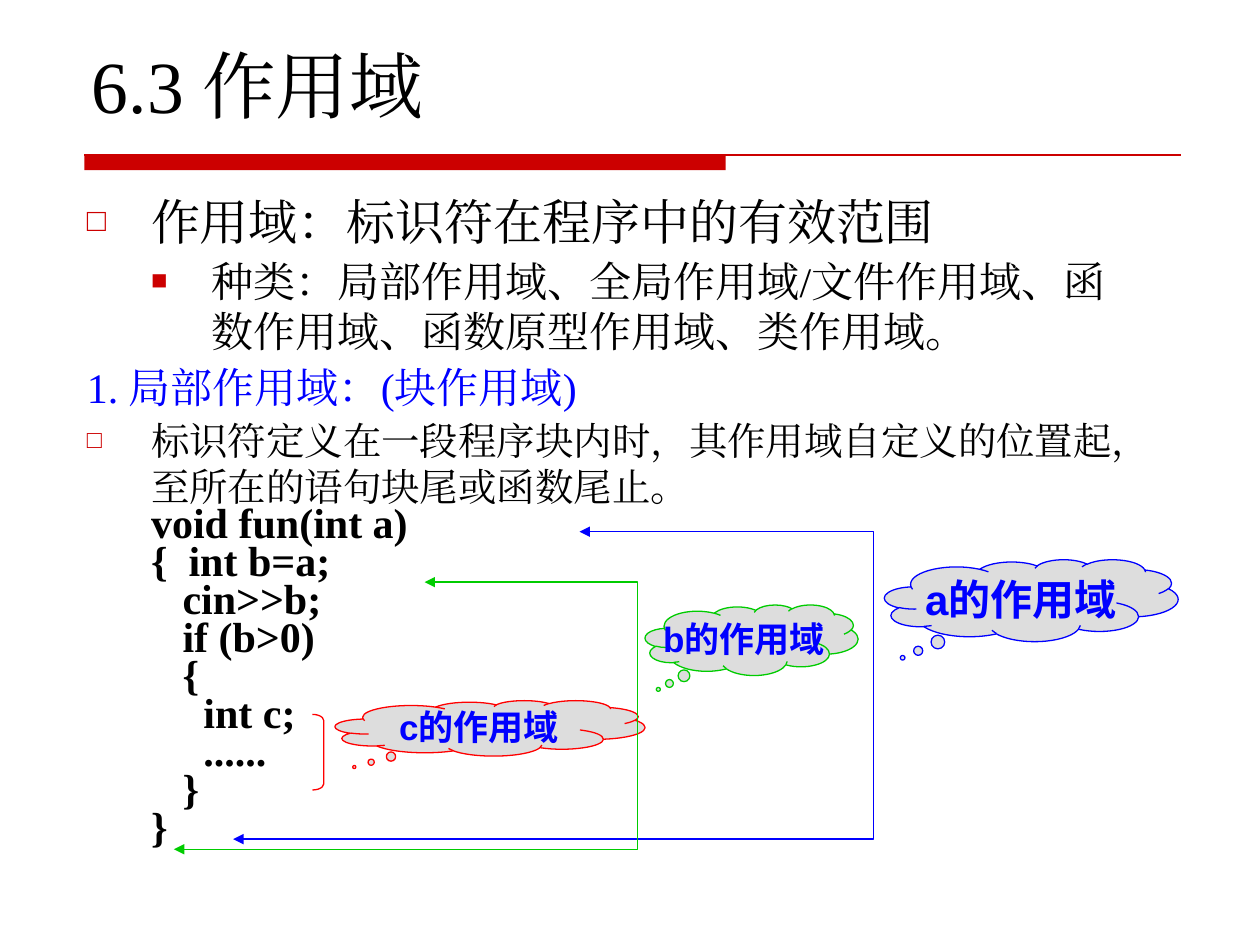
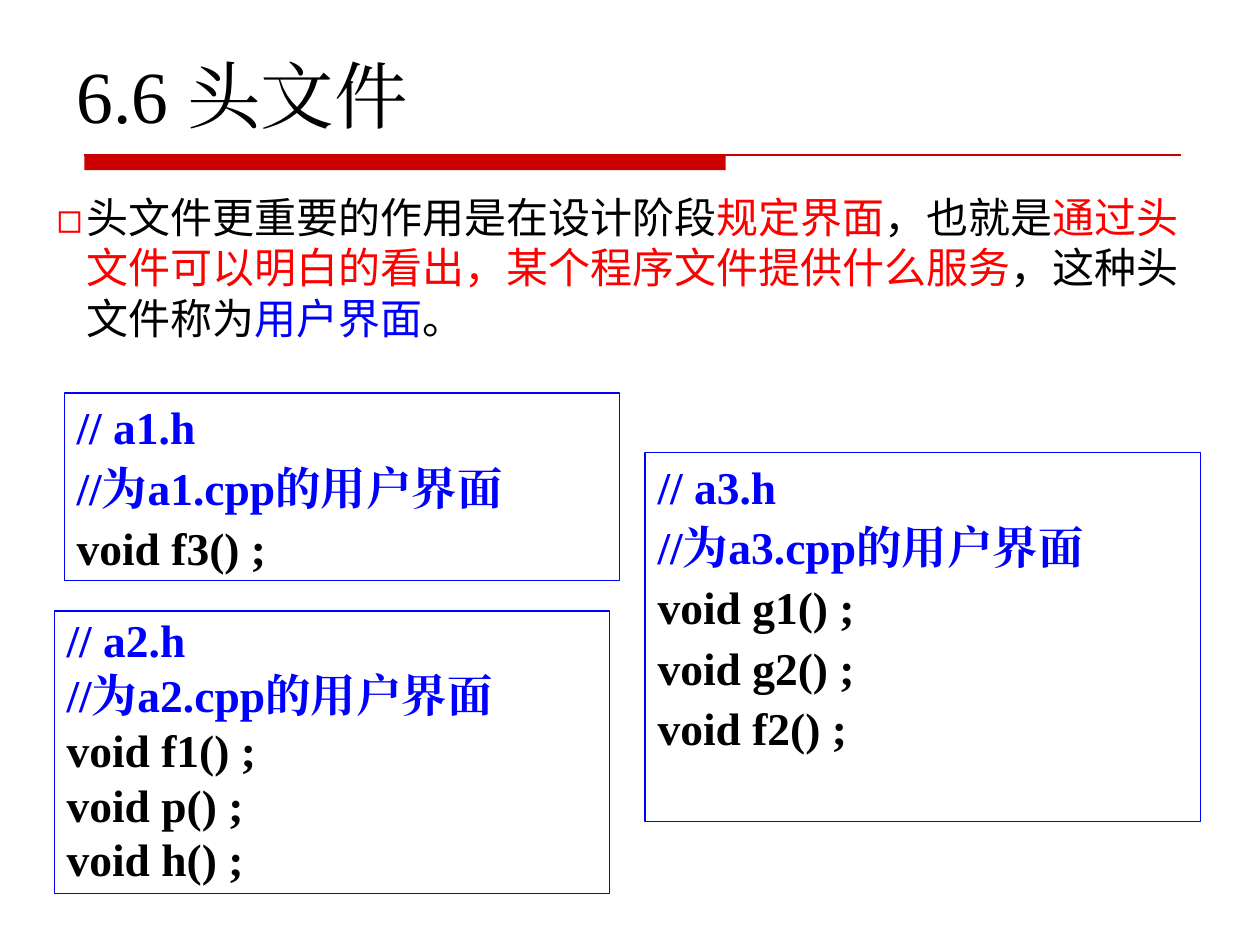
from lxml import etree
from pptx import Presentation
from pptx.dml.color import RGBColor
from pptx.enum.shapes import MSO_CONNECTOR, MSO_SHAPE
from pptx.enum.text import MSO_ANCHOR, MSO_AUTO_SIZE, PP_ALIGN
from pptx.oxml.ns import qn
from pptx.util import Inches, Pt

# Shared look
RED, BRIGHT_RED, BLUE, GREEN = "CC0000", "FF0000", "0000FF", "00CC00"
BLACK, GREY = "000000", "DDDDDD"
SERIF, SANS, CJK = "Times New Roman", "Arial", "Noto Sans CJK SC"
LINE_HEIGHT = 1.2  # line pitch as a share of the font size
LINE_WIDTH = 0.75

# Slide 1: paragraphs are (text, format)
SCOPE_TITLE = "6.3 作用域"
HOLLOW = dict(char="□", color=RED, percent=65, font=SERIF)
SOLID = dict(HOLLOW, char="■")
SCOPE_TEXT = [
    ("作用域：标识符在程序中的有效范围", dict(size=28, bullet=HOLLOW)),
    ("种类：局部作用域、全局作用域/文件作用域、函数作用域、函数原型作用域、类作用域。",
     dict(size=24, before=3, left=0.99, hang=0.48, bullet=SOLID)),
    ("1. 局部作用域：(块作用域)", dict(size=24, before=3, color=BLUE)),
    ("标识符定义在一段程序块内时，其作用域自定义的位置起，至所在的语句块尾或函数尾止。",
     dict(size=22, before=2.8, bullet=HOLLOW)),
]
SCOPE_CODE = [
    "void fun(int a)",
    "{  int b=a;",
    "   cin>>b;",
    "   if (b>0)",
    "   {",
    "     int c;",
    "     ......",
    "   }",
    "}",
]
CODE_FORMAT = dict(size=24, bold=True, before=3, spacing=0.65, left=0.99, hang=0.48)

# Variable scopes: cloud box, and either an arrow or a bracket
# arrow = (start x, top, right, bottom, end x)
SCOPES = [
    dict(name="a", color=BLUE, size=24, cloud=(7.02, 4.44, 2.33, 0.65),
         arrow=(4.6, 4.22, 6.93, 6.66, 1.85)),
    dict(name="c", color=BRIGHT_RED, size=20, cloud=(2.66, 5.56, 2.46, 0.44),
         bracket=(2.48, 5.67, 0.09, 0.6)),
    dict(name="b", color=GREEN, size=20, cloud=(5.12, 4.8, 1.69, 0.56),
         arrow=(3.37, 4.62, 5.06, 6.74, 1.38)),
]

# Slide 2
HEADER_TITLE = "6.6 头文件"
HEADER_TEXT = [
    ("头文件更重要的作用是在设计阶段", BLACK),
    ("规定界面", BRIGHT_RED),
    ("，也就是", BLACK),
    ("通过头文件可以明白的看出，某个程序文件提供什么服务", BRIGHT_RED),
    ("，这种头文件称为", BLACK),
    ("用户界面", BLUE),
    ("。", BLACK),
]
HEADER_FORMAT = dict(size=24, font=CJK, left=0.24, hang=0.24,
                     bullet=dict(char="◻", color=BRIGHT_RED, percent=100, font=CJK))
FILE_WIDTH = 4.41
# (file, left, top, height, line spacing, functions)
HEADER_FILES = [
    ("a2", 0.43, 4.85, 2.24, 0.9, ["f1", "p", "h"]),
    ("a1", 0.51, 3.12, 1.49, 1, ["f3"]),
    ("a3", 5.12, 3.59, 2.93, 1, ["g1", "g2", "f2"]),
]


def rgb(color):
    return RGBColor.from_string(color)


def inches(values):
    return [Inches(value) for value in values]


def add_bullet(paragraph, bullet):
    properties = paragraph._p.get_or_add_pPr()

    def add(parent, tag, **attributes):
        return etree.SubElement(parent, qn(tag), attributes)

    if not bullet:
        add(properties, "a:buNone")
        return
    add(add(properties, "a:buClr"), "a:srgbClr", val=bullet["color"])
    add(properties, "a:buSzPct", val=str(bullet["percent"] * 1000))
    add(properties, "a:buFont", typeface=bullet["font"])
    add(properties, "a:buChar", char=bullet["char"])


def fill_paragraph(paragraph, text, size, font=SERIF, color=BLACK, bold=False, before=0,
                   spacing=1, left=0.51, hang=0.51, bullet=None, align=PP_ALIGN.LEFT):
    """Write text, a string or a list of (text, color), into a paragraph."""
    settings = dict(alignment=align, space_before=Pt(before),
                    line_spacing=Pt(round(size * LINE_HEIGHT * spacing, 2)))
    for name, value in settings.items():
        setattr(paragraph, name, value)
    properties = paragraph._p.get_or_add_pPr()
    properties.set("marL", str(Inches(left)))
    properties.set("indent", str(-Inches(hang)))
    add_bullet(paragraph, bullet)
    pieces = [(text, color)] if isinstance(text, str) else text
    for piece, piece_color in pieces:
        run = paragraph.add_run()
        run.text = piece
        for name, value in dict(size=Pt(size), name=font, bold=bold).items():
            setattr(run.font, name, value)
        run.font.color.rgb = rgb(piece_color)
        east_asian = etree.SubElement(run._r.get_or_add_rPr(), qn("a:ea"))
        east_asian.set("typeface", font)


def fill_text(shape, paragraphs, anchor=MSO_ANCHOR.TOP, wrap=True):
    frame = shape.text_frame
    settings = dict(word_wrap=wrap, auto_size=MSO_AUTO_SIZE.NONE, vertical_anchor=anchor,
                    margin_left=Inches(0.1), margin_right=Inches(0.1),
                    margin_top=Inches(0.05), margin_bottom=Inches(0.05))
    for name, value in settings.items():
        setattr(frame, name, value)
    for index, (text, text_format) in enumerate(paragraphs):
        paragraph = frame.add_paragraph() if index else frame.paragraphs[0]
        fill_paragraph(paragraph, text, **text_format)


def style(shape, fill=None, line=None):
    shape.shadow.inherit = False
    if fill:
        shape.fill.solid()
        shape.fill.fore_color.rgb = rgb(fill)
    else:
        shape.fill.background()
    if line:
        shape.line.color.rgb = rgb(line)
        shape.line.width = Pt(LINE_WIDTH)
    else:
        shape.line.fill.background()


def add_preset(slide, kind, box, **colors):
    shape = slide.shapes.add_shape(kind, *inches(box))
    style(shape, **colors)
    return shape


def add_title_slide(presentation, layout, title, box, anchor, spacing=1):
    slide = presentation.slides.add_slide(layout)
    shape = slide.shapes.title
    shape.left, shape.top, shape.width, shape.height = inches(box)
    fill_text(shape, [(title, dict(size=42, left=0, hang=0, spacing=spacing))], anchor)
    return slide


def move_rule_to_layout(slide, layout):
    """Draw the title rule, a thick band on a thin line, and share it by the layout."""
    band = add_preset(slide, MSO_SHAPE.RECTANGLE, (0.67, 1.23, 5.09, 0.12), fill=RED)
    rule = slide.shapes.add_connector(MSO_CONNECTOR.STRAIGHT, *inches((0.67, 1.23, 9.37, 1.23)))
    rule.line.color.rgb = rgb(RED)
    rule.line.width = Pt(LINE_WIDTH)
    etree.SubElement(rule._element.spPr, qn("a:effectLst"))
    for shape in (band, rule):
        layout.shapes._spTree.append(shape._element)


def add_scope_arrow(slide, color, start, top, right, bottom, end):
    builder = slide.shapes.build_freeform(Inches(start), Inches(top))
    corners = [(right, top), (right, bottom), (end, bottom)]
    builder.add_line_segments([inches(corner) for corner in corners], close=False)
    shape = builder.convert_to_shape()
    style(shape, line=color)
    for tag in ("a:headEnd", "a:tailEnd"):
        etree.SubElement(shape.line._get_or_add_ln(), qn(tag), type="triangle")


def add_scope(slide, scope):
    color = scope["color"]
    if "arrow" in scope:
        add_scope_arrow(slide, color, *scope["arrow"])
    cloud = add_preset(slide, MSO_SHAPE.CLOUD_CALLOUT, scope["cloud"], fill=GREY, line=color)
    cloud.adjustments[0], cloud.adjustments[1] = -0.438, 0.7
    label_format = dict(size=scope["size"], font=SANS, color=BLUE, bold=True,
                        left=0, hang=0, align=PP_ALIGN.CENTER)
    fill_text(cloud, [(scope["name"] + "的作用域", label_format)], MSO_ANCHOR.MIDDLE, wrap=False)
    if "bracket" in scope:
        bracket = add_preset(slide, MSO_SHAPE.RIGHT_BRACKET, scope["bracket"], line=color)
        bracket.adjustments[0] = 0.55


def add_header_file(slide, name, left, top, height, spacing, functions):
    lines = [(f"// {name}.h", BLUE), (f"//为{name}.cpp的用户界面", BLUE)]
    lines += [(f"void {function}() ;", BLACK) for function in functions]
    paragraphs = [
        (text, dict(size=26, bold=True, color=color, spacing=spacing, before=3.3 if index else 0))
        for index, (text, color) in enumerate(lines)
    ]
    box = add_preset(slide, MSO_SHAPE.RECTANGLE, (left, top, FILE_WIDTH, height), line=BLUE)
    fill_text(box, paragraphs)


def main():
    presentation = Presentation()
    presentation.slide_width, presentation.slide_height = inches((10, 7.5))
    layout = presentation.slide_layouts[5]

    # Scope slide
    slide = add_title_slide(presentation, layout, SCOPE_TITLE, (0.63, 0.33, 8.75, 0.74),
                            MSO_ANCHOR.BOTTOM)
    move_rule_to_layout(slide, layout)
    body = slide.shapes.add_textbox(*inches((0.59, 1.47, 8.58, 5.45)))
    fill_text(body, SCOPE_TEXT + [(line, CODE_FORMAT) for line in SCOPE_CODE])
    for scope in SCOPES:
        add_scope(slide, scope)

    # Header file slide
    slide = add_title_slide(presentation, layout, HEADER_TITLE, (0.51, 0.21, 8.58, 0.94),
                            MSO_ANCHOR.TOP, spacing=1.2)
    body = slide.shapes.add_textbox(*inches((0.35, 1.47, 9.29, 1.3)))
    fill_text(body, [(HEADER_TEXT, HEADER_FORMAT)])
    for header_file in HEADER_FILES:
        add_header_file(slide, *header_file)

    presentation.save("out.pptx")


if __name__ == "__main__":
    main()
